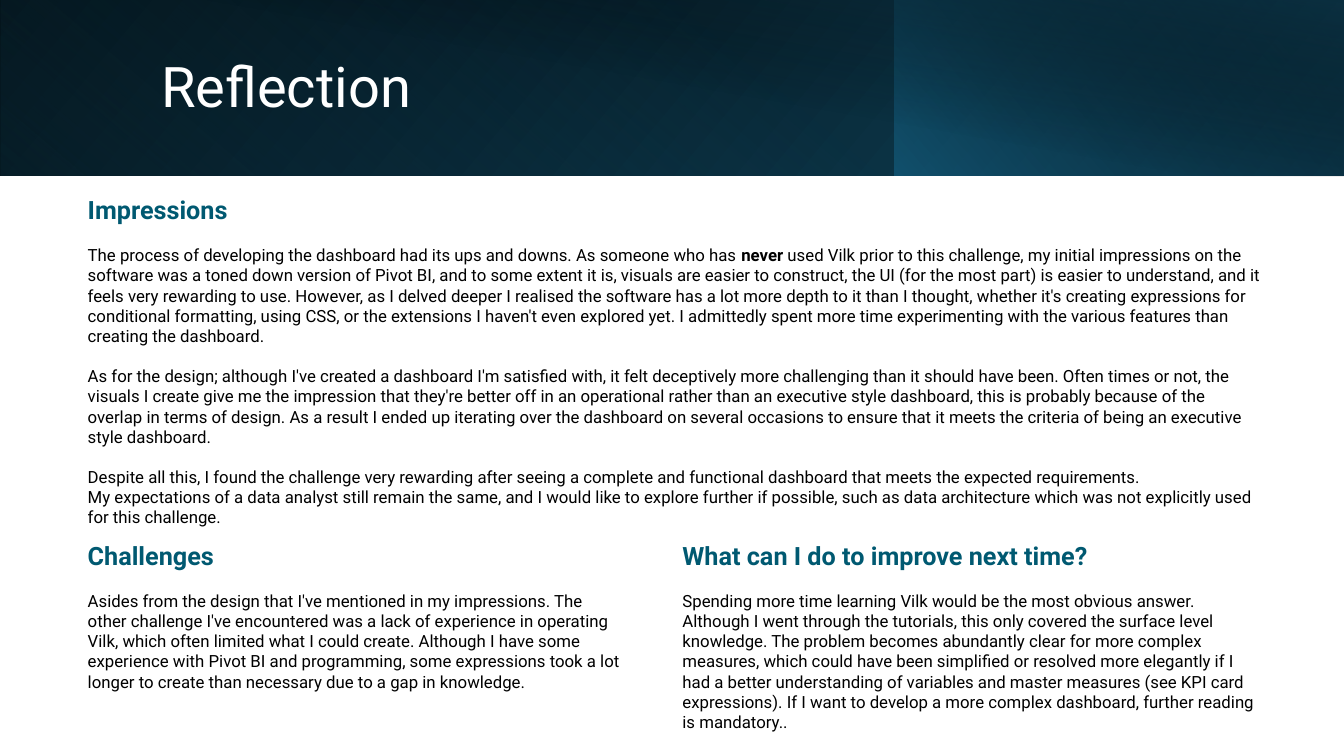
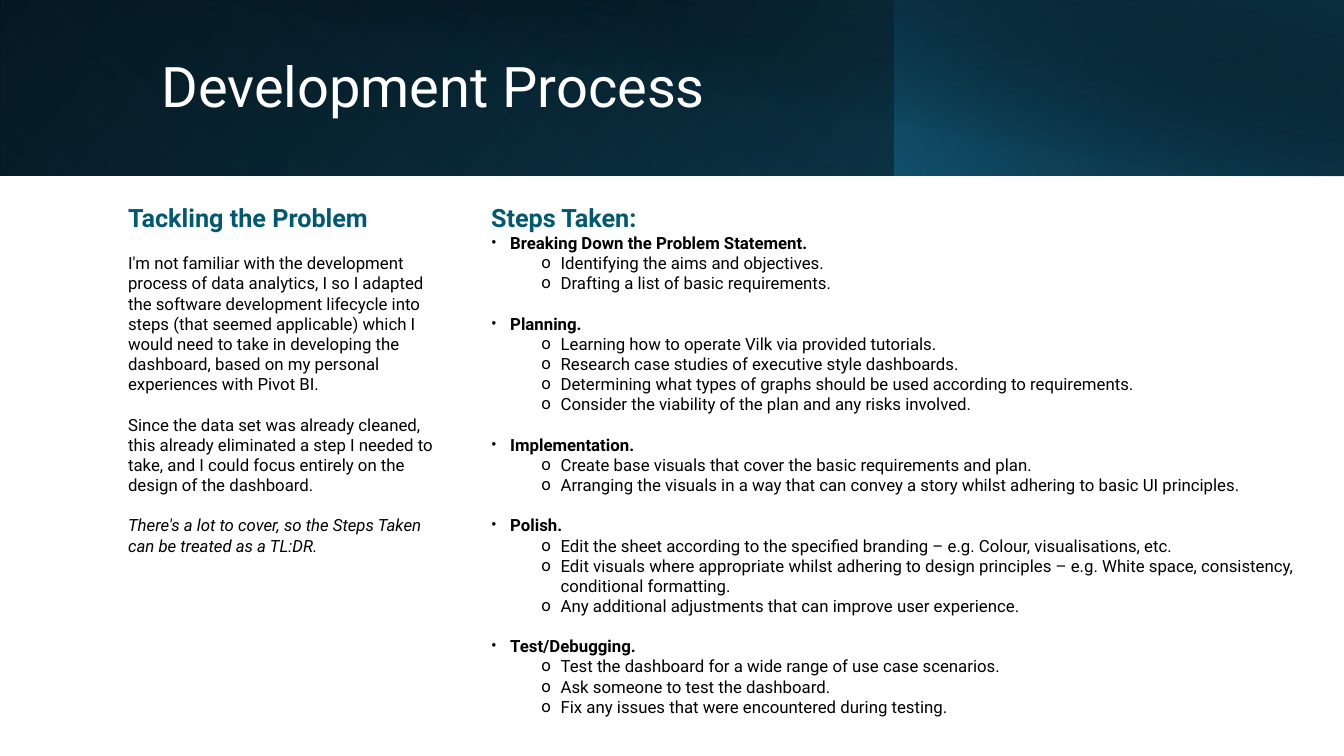
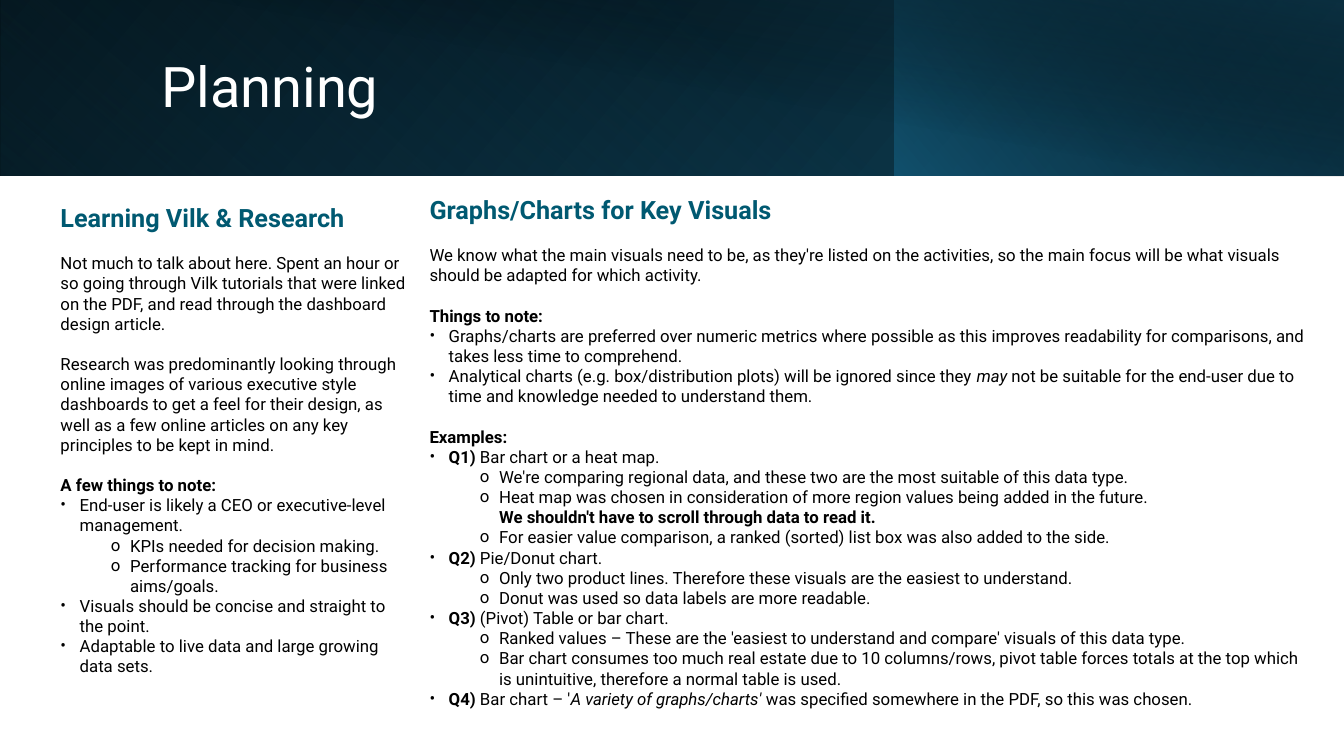
"""Build three dashboard project slides with a shared gradient header."""
from pptx import Presentation
from pptx.dml.color import RGBColor as RGB
from pptx.enum.shapes import MSO_SHAPE as Geom
from pptx.enum.text import MSO_ANCHOR as Anchor, MSO_AUTO_SIZE as Fit, PP_ALIGN as Align
from pptx.oxml import parse_xml
from pptx.oxml.ns import nsdecls, qn
from pptx.util import Inches as In, Pt

W, H = 13.33, 7.5
FONT = "Roboto"
GAP = Pt(14.4)
HUES = {"head": "005971", "text": "000000", "title": "FFFFFF"}

BANDS = [
    {"at": (0, 0, W, 1.74), "flip": True, "turn": 0, "ang": 140,
     "stops": [(0, "000000", 100), (100, "104862", 100)]},
    {"at": (0, 0, 8.88, 1.74), "flip": True, "turn": 180, "ang": 230,
     "stops": [(20, "156082", 0), (100, "0B3041", 55)]},
    {"at": (8.87, 0, 4.46, 1.74), "flip": True, "turn": 0, "ang": 220,
     "stops": [(0, "156082", 66), (100, "000000", 30)]},
    {"at": (0.5, 0, 12.83, 1.75), "flip": False, "turn": 0, "ang": 280,
     "stops": [(50, "000000", 0), (99, "0B3041", 52)]},
]

KINDS = {
    "head": (0, 0, 0, ""),
    "para": (0, 0, 0, ""),
    "dot": (0, 0.19, -0.19, "•"),
    "ring": (1, 0.69, -0.19, "o"),
    "more": (1, 0.69, 0, ""),
}

SLIDES = [
    ("Reflection", [
        ((0.77, 1.88, 11.88, 3.23), [
            ("head", "Impressions"),
            ("para+", "The process of developing the dashboard had its ups and downs. As someone who has *never* used Vilk prior to this challenge, my initial impressions on the software was a toned down version of Pivot BI, and to some extent it is, visuals are easier to construct, the UI (for the most part) is easier to understand, and it feels very rewarding to use. However, as I delved deeper I realised the software has a lot more depth to it than I thought, whether it's creating expressions for conditional formatting, using CSS, or the extensions I haven't even explored yet. I admittedly spent more time experimenting with the various features than creating the dashboard."),
            ("para+", "As for the design; although I've created a dashboard I'm satisfied with, it felt deceptively more challenging than it should have been. Often times or not, the visuals I create give me the impression that they're better off in an operational rather than an executive style dashboard, this is probably because of the overlap in terms of design. As a result I ended up iterating over the dashboard on several occasions to ensure that it meets the criteria of being an executive style dashboard."),
            ("para+", "Despite all this, I found the challenge very rewarding after seeing a complete and functional dashboard that meets the expected requirements."),
            ("para", "My expectations of a data analyst still remain the same, and I would like to explore further if possible, such as data architecture which was not explicitly used for this challenge."),
        ]),
        ((0.77, 5.31, 5.49, 1.62), [
            ("head", "Challenges"),
            ("para+", "Asides from the design that I've mentioned in my impressions. The other challenge I've encountered was a lack of experience in operating Vilk, which often limited what I could create. Although I have some experience with Pivot BI and programming, some expressions took a lot longer to create than necessary due to a gap in knowledge."),
        ]),
        ((6.67, 5.31, 5.91, 1.82), [
            ("head", "What can I do to improve next time?"),
            ("para+", "Spending more time learning Vilk would be the most obvious answer. Although I went through the tutorials, this only covered the surface level knowledge. The problem becomes abundantly clear for more complex measures, which could have been simplified or resolved more elegantly if I had a better understanding of variables and master measures (see KPI card expressions). If I want to develop a more complex dashboard, further reading is mandatory.."),
        ]),
    ]),
    ("Development Process", [
        ((1.17, 1.96, 3.27, 3.64), [
            ("head", "Tackling the Problem"),
            ("para+", "I'm not familiar with the development process of data analytics, I so I adapted the software development lifecycle into steps (that seemed applicable) which I would need to take in developing the dashboard, based on my personal experiences with Pivot BI."),
            ("para+", "Since the data set was already cleaned, this already eliminated a step I needed to take, and I could focus entirely on the design of the dashboard."),
            ("para+", "_There's a lot to cover, so the Steps Taken can be treated as a TL:DR._"),
        ]),
        ((4.77, 1.96, 8.21, 5.25), [
            ("head", "Steps Taken:"),
            ("dot", "*Breaking Down the Problem Statement.*"),
            ("ring", "Identifying the aims and objectives."),
            ("ring", "Drafting a list of basic requirements."),
            ("dot+", "*Planning.*"),
            ("ring", "Learning how to operate Vilk via provided tutorials."),
            ("ring", "Research case studies of executive style dashboards."),
            ("ring", "Determining what types of graphs should be used according to requirements."),
            ("ring", "Consider the viability of the plan and any risks involved."),
            ("dot+", "*Implementation.*"),
            ("ring", "Create base visuals that cover the basic requirements and plan."),
            ("ring", "Arranging the visuals in a way that can convey a story whilst adhering to basic UI principles."),
            ("dot+", "*Polish.*"),
            ("ring", "Edit the sheet according to the specified branding – e.g. Colour, visualisations, etc."),
            ("ring", "Edit visuals where appropriate whilst adhering to design principles – e.g. White space, consistency, conditional formatting."),
            ("ring", "Any additional adjustments that can improve user experience."),
            ("dot+", "*Test/Debugging.*"),
            ("ring", "Test the dashboard for a wide range of use case scenarios."),
            ("ring", "Ask someone to test the dashboard."),
            ("ring", "Fix any issues that were encountered during testing."),
        ]),
    ]),
    ("Planning", [
        ((0.5, 1.96, 3.65, 4.85), [
            ("head", "Learning Vilk & Research"),
            ("para+", "Not much to talk about here. Spent an hour or so going through Vilk tutorials that were linked on the PDF, and read through the dashboard design article."),
            ("para+", "Research was predominantly looking through online images of various executive style dashboards to get a feel for their design, as well as a few online articles on any key principles to be kept in mind."),
            ("para+", "*A few things to note:*"),
            ("dot", "End-user is likely a CEO or executive-level management."),
            ("ring", "KPIs needed for decision making."),
            ("ring", "Performance tracking for business aims/goals."),
            ("dot", "Visuals should be concise and straight to the point."),
            ("dot", "Adaptable to live data and large growing data sets."),
        ]),
        ((4.16, 1.88, 8.95, 5.33), [
            ("head", "Graphs/Charts for Key Visuals"),
            ("para+", "We know what the main visuals need to be, as they're listed on the activities, so the main focus will be what visuals should be adapted for which activity."),
            ("para+", "*Things to note:*"),
            ("dot", "Graphs/charts are preferred over numeric metrics where possible as this improves readability for comparisons, and takes less time to comprehend."),
            ("dot", "Analytical charts (e.g. box/distribution plots) will be ignored since they _may_ not be suitable for the end-user due to time and knowledge needed to understand them."),
            ("para+", "*Examples:*"),
            ("dot", "*Q1)* Bar chart or a heat map."),
            ("ring", "We're comparing regional data, and these two are the most suitable of this data type."),
            ("ring", "Heat map was chosen in consideration of more region values being added in the future."),
            ("more", "*We shouldn't have to scroll through data to read it.*"),
            ("ring", "For easier value comparison, a ranked (sorted) list box was also added to the side."),
            ("dot", "*Q2)* Pie/Donut chart."),
            ("ring", "Only two product lines. Therefore these visuals are the easiest to understand."),
            ("ring", "Donut was used so data labels are more readable."),
            ("dot", "*Q3)* (Pivot) Table or bar chart."),
            ("ring", "Ranked values – These are the 'easiest to understand and compare' visuals of this data type."),
            ("ring", "Bar chart consumes too much real estate due to 10 columns/rows, pivot table forces totals at the top which is unintuitive, therefore a normal table is used."),
            ("dot", "*Q4)* Bar chart – '_A variety of graphs/charts'_ was specified somewhere in the PDF, so this was chosen."),
        ]),
    ]),
]


def place(shape, spot):
    shape.left, shape.top, shape.width, shape.height = map(In, spot)


def style(font, size, hue):
    font.name, font.size = FONT, Pt(size)
    font.color.rgb = RGB.from_string(HUES[hue])


def add_band(slide, layout, band):
    shape = slide.shapes.add_shape(Geom.RECTANGLE, *map(In, band["at"]))
    shape.shadow.inherit = False
    shape.line.fill.background()
    shape.rotation = band["turn"]
    props = shape.element.spPr
    if band["flip"]:
        props.find(qn("a:xfrm")).set("flipH", "1")
    stops = "".join(
        f'<a:gs pos="{pos * 1000}"><a:srgbClr val="{hue}">'
        f'<a:alpha val="{alpha * 1000}"/></a:srgbClr></a:gs>'
        for pos, hue, alpha in band["stops"])
    props.insert(2, parse_xml(
        f'<a:gradFill {nsdecls("a")}><a:gsLst>{stops}</a:gsLst>'
        f'<a:lin ang="{band["ang"] * 60000}" scaled="0"/></a:gradFill>'))
    layout.shapes.element.append(shape.element)


def add_runs(para, text):
    for i, part in enumerate(text.split("*")):
        for j, bit in enumerate(part.split("_")):
            if bit:
                run = para.add_run()
                run.text = bit
                run.font.bold, run.font.italic = i % 2 == 1, j % 2 == 1


def fill_para(para, kind, text):
    name = kind.rstrip("+")
    level, left, hang, mark = KINDS[name]
    props = para._p.get_or_add_pPr()
    props.set("marL", str(In(left)))
    props.set("indent", str(In(hang)))
    if mark:
        props.append(parse_xml(f'<a:buFont {nsdecls("a")} typeface="{FONT}"/>'))
        props.append(parse_xml(f'<a:buChar {nsdecls("a")} char="{mark}"/>'))
    else:
        props.append(parse_xml(f'<a:buNone {nsdecls("a")}/>'))
    para.level = level
    para.alignment = Align.LEFT
    para.space_before = GAP if kind.endswith("+") else Pt(0)
    add_runs(para, text)
    for run in para.runs:
        if name == "head":
            style(run.font, 18, "head")
            run.font.bold = True
        else:
            style(run.font, 12, "text")


def fill_box(box, spot, items):
    place(box, spot)
    frame = box.text_frame
    frame.word_wrap = True
    frame.auto_size = Fit.SHAPE_TO_FIT_TEXT
    for i, (kind, text) in enumerate(items):
        para = frame.add_paragraph() if i else frame.paragraphs[0]
        fill_para(para, kind, text)


def add_slide(deck, layout, title, blocks):
    slide = deck.slides.add_slide(layout)
    head = slide.shapes.title.text_frame
    head.text = title
    head.vertical_anchor = Anchor.MIDDLE
    para = head.paragraphs[0]
    para.alignment, para.line_spacing = Align.LEFT, 0.9
    style(para.runs[0].font, 40, "title")
    bodies = list(slide.placeholders)[1:]
    for i, (spot, items) in enumerate(blocks):
        box = bodies[i] if i < len(bodies) else slide.shapes.add_textbox(*map(In, spot))
        fill_box(box, spot, items)
    return slide


def main():
    deck = Presentation()
    deck.slide_width, deck.slide_height = In(W), In(H)
    layout = deck.slide_layouts[3]
    place(layout.placeholders[0], (1.5, 0.32, 10.82, 1.13))
    slides = [add_slide(deck, layout, *page) for page in SLIDES]
    for band in BANDS:
        add_band(slides[0], layout, band)
    deck.save("out.pptx")


if __name__ == "__main__":
    main()
